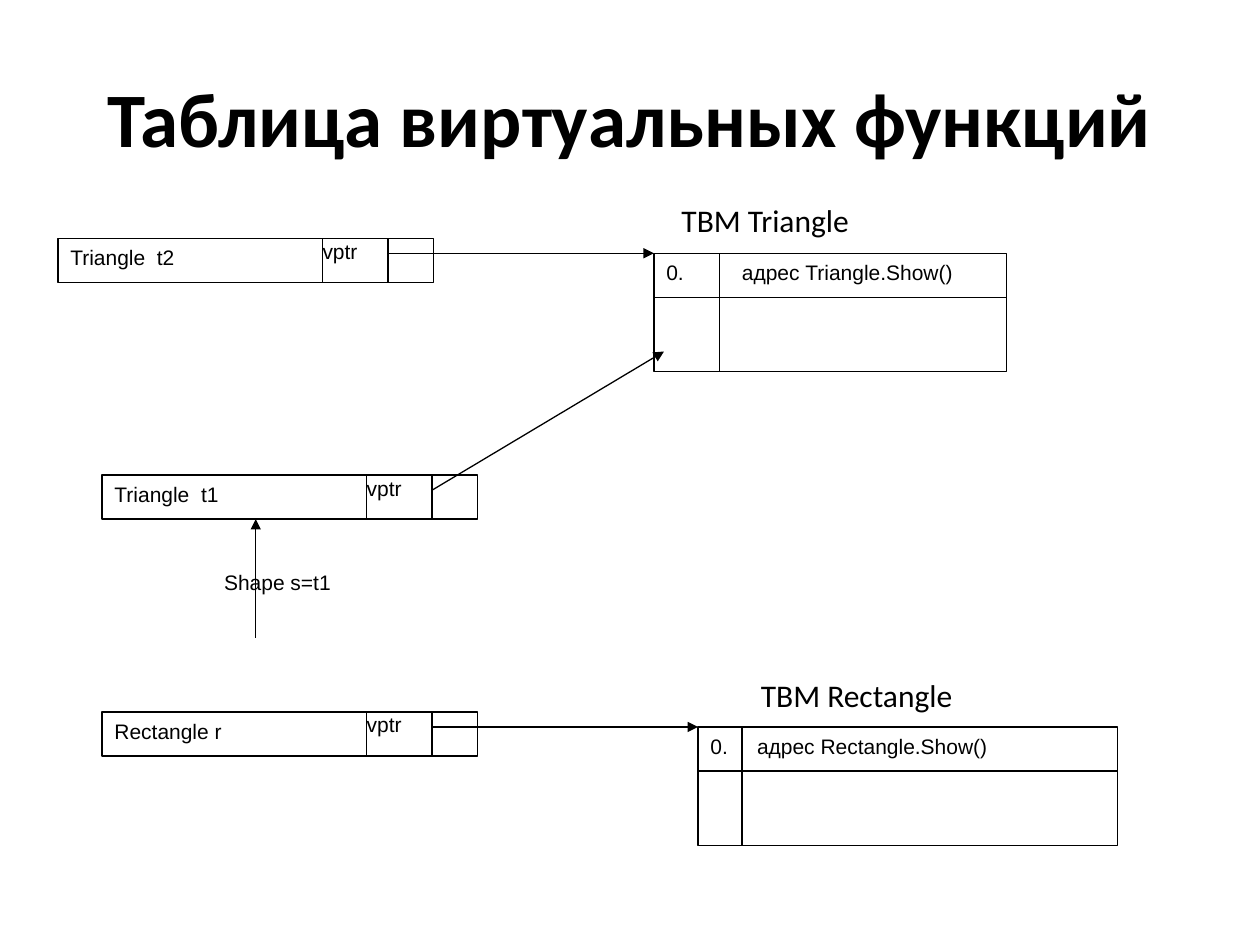
"""Build a slide that shows objects pointing to their virtual method tables."""
from lxml import etree
from pptx import Presentation
from pptx import util as u
from pptx.dml.color import RGBColor
from pptx.enum import shapes, text
from pptx.oxml.ns import qn

BLACK = RGBColor(0, 0, 0)
WHITE = RGBColor(255, 255, 255)
ROW_H = 0.35
TABLE_H = 0.94
OBJECT_W = 2.98
VPTR_X, VPTR_W = 2.1, 0.52
ARROW_DY = 0.12


def write(sp, content, size=12, font="Arial", bold=False, inset=True, tab=None,
          align=text.PP_ALIGN.LEFT, anchor=text.MSO_ANCHOR.TOP):
    tf = sp.text_frame
    tf.word_wrap = True
    tf.vertical_anchor = anchor
    tf.margin_left = tf.margin_right = u.Inches(0.1 if inset else 0)
    tf.margin_top = tf.margin_bottom = u.Inches(0.05 if inset else 0)
    p = tf.paragraphs[0]
    p.alignment = align
    if tab:
        tabs = etree.SubElement(p._p.get_or_add_pPr(), qn("a:tabLst"))
        etree.SubElement(tabs, qn("a:tab"), pos=str(u.Inches(tab)), algn="l")
    r = p.add_run()
    r.text = content
    r.font.size = u.Pt(size)
    r.font.name = font
    r.font.bold = bold
    r.font.color.rgb = BLACK


def add_label(s, x, y, w, h, content, **fmt):
    sp = s.shapes.add_textbox(*map(u.Inches, (x, y, w, h)))
    write(sp, content, **fmt)


def add_box(s, x, y, w, h, content, **fmt):
    sp = s.shapes.add_shape(shapes.MSO_SHAPE.RECTANGLE, *map(u.Inches, (x, y, w, h)))
    sp.shadow.inherit = False
    sp.fill.solid()
    sp.fill.fore_color.rgb = WHITE
    sp.line.color.rgb = BLACK
    sp.line.width = u.Pt(0.75)
    write(sp, content, **fmt)


def add_line(s, x1, y1, x2, y2, arrow=False):
    cxn = s.shapes.add_connector(shapes.MSO_CONNECTOR.STRAIGHT,
                                 *map(u.Inches, (x1, y1, x2, y2)))
    cxn.line.color.rgb = BLACK
    cxn.line.width = u.Pt(0.75)
    if arrow:
        etree.SubElement(cxn.line._get_or_add_ln(), qn("a:tailEnd"), type="triangle")
    etree.SubElement(cxn._element.spPr, qn("a:effectLst"))


def add_object(s, x, y, name, target):
    add_box(s, x, y, OBJECT_W, ROW_H, name)
    add_box(s, x + VPTR_X, y, VPTR_W, ROW_H, "vptr", inset=False)
    add_line(s, x + VPTR_X + VPTR_W, y + ARROW_DY, *target, arrow=True)


def add_method_table(s, x, y, w, index_w, method, tab):
    add_box(s, x, y, w, TABLE_H, f"0.\t{method}", tab=tab)
    add_line(s, x + index_w, y, x + index_w, y + TABLE_H)
    add_line(s, x, y + ROW_H, x + w, y + ROW_H)


def main():
    prs = Presentation()
    prs.slide_width, prs.slide_height = u.Inches(10), u.Inches(7.5)
    s = prs.slides.add_slide(prs.slide_layouts[6])
    add_label(s, 0.5, 0.3, 9, 1.25, "Таблица виртуальных функций", size=44,
              font="Calibri", bold=True, align=text.PP_ALIGN.CENTER,
              anchor=text.MSO_ANCHOR.MIDDLE)

    add_method_table(s, 5.19, 2.01, 2.8, 0.52, "адрес Triangle.Show()", tab=0.6)
    add_method_table(s, 5.54, 5.77, 3.33, 0.35, "адрес Rectangle.Show()", tab=0.37)
    for x, y, name, target in (
        (0.46, 1.89, "Triangle  t2", (5.19, 2.01)),
        (0.81, 3.77, "Triangle  t1", (5.27, 2.79)),
        (0.81, 5.65, "Rectangle r", (5.54, 5.77)),
    ):
        add_object(s, x, y, name, target)

    add_line(s, 2.03, 5.06, 2.03, 4.12, arrow=True)
    add_label(s, 1.68, 4.47, 2.45, ROW_H, "Shape s=t1")
    for x, y, name in ((5.31, 1.55, "ТВМ Triangle"), (5.94, 5.32, "ТВМ Rectangle")):
        add_label(s, x, y, 2.72, 0.4, name, size=18, font="Calibri")
    prs.save("out.pptx")


if __name__ == "__main__":
    main()
